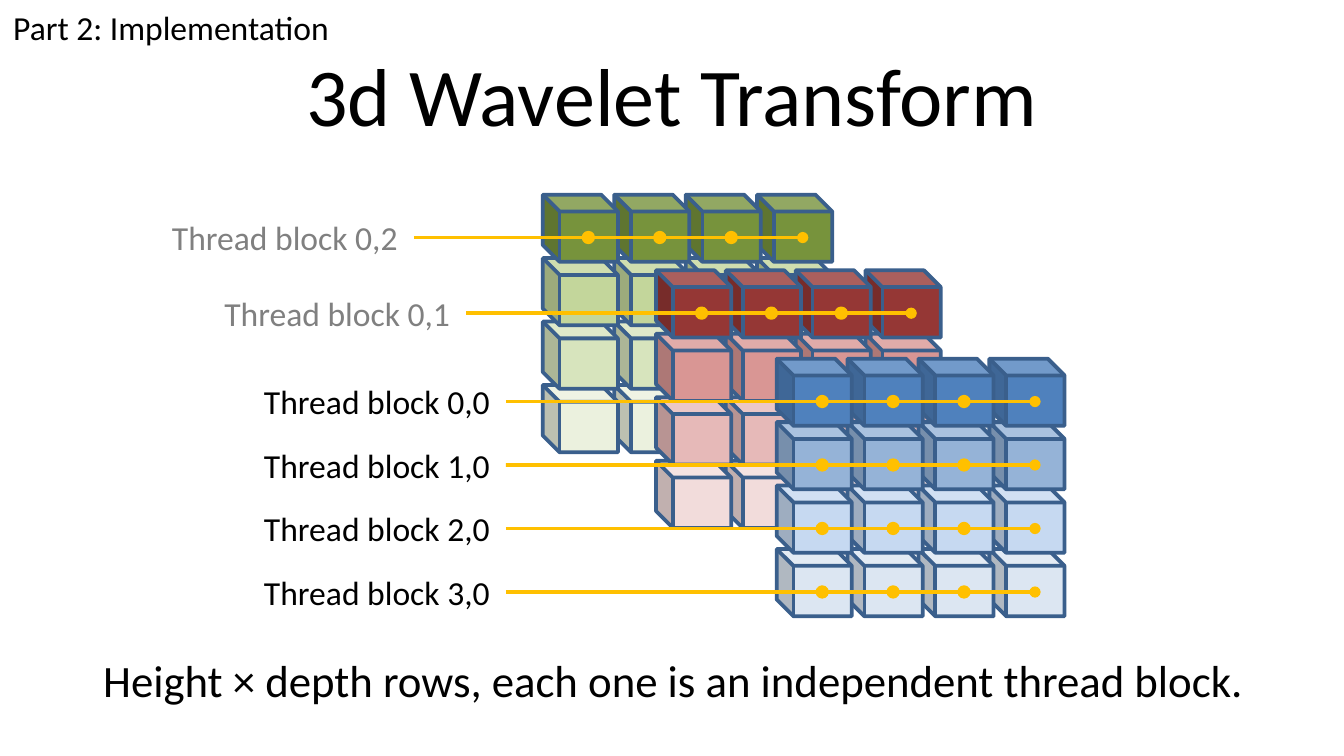
from dataclasses import dataclass

from lxml.etree import SubElement
from pptx import Presentation
from pptx.dml.color import RGBColor
from pptx.enum.shapes import MSO_CONNECTOR as Connector
from pptx.enum.shapes import MSO_SHAPE as Preset
from pptx.enum.text import MSO_ANCHOR as Anchor
from pptx.enum.text import MSO_AUTO_SIZE as AutoSize
from pptx.enum.text import PP_ALIGN as Align
from pptx.oxml.ns import qn
from pptx.util import Cm, Pt

COLUMNS = 4
ROW_PITCH = 1.2
CUBE_WIDTH, CUBE_HEIGHT = 1.42, 1.27
FACE_X, FACE_Y = 0.86, 0.81
LABEL_WIDTH, LABEL_HEIGHT = 4.82, 1.02
DOT_SIZE = 0.18
OUTLINE, GOLD, BLACK, GRAY = "3A5F8C", "FFC000", "000000", "808080"


@dataclass(frozen=True)
class Layer:
    left: float
    top: float
    pitch: float
    row_colors: tuple[str, ...]
    label_left: float
    label_color: str
    labels: tuple[str, ...]


LAYERS = (
    Layer(10.26, 3.68, 1.35, ("77933C", "C3D69B", "D7E4BD", "EBF1DE"),
          3.0, GRAY, ("Thread block 0,2",)),
    Layer(12.4, 5.11, 1.32, ("953735", "D99694", "E6B9B8", "F2DCDB"),
          3.99, GRAY, ("Thread block 0,1",)),
    Layer(14.68, 6.78, 1.34, ("4F81BD", "95B3D7", "C6D9F1", "DCE6F2"),
          4.74, BLACK, tuple(f"Thread block {row},0" for row in range(4))),
)


def rgb(color: str) -> RGBColor:
    return RGBColor.from_string(color)


def apply_format(target, values: dict) -> None:
    for name, value in values.items():
        setattr(target, name, value)


def format_text(shape, text: str, size: int, color: str, align=Align.LEFT) -> None:
    paragraph = shape.text_frame.paragraphs[0]
    paragraph.alignment = align
    run = paragraph.add_run()
    run.text = text
    apply_format(run.font, {"name": "Calibri", "size": Pt(size)})
    run.font.color.rgb = rgb(color)


def add_text(slide, left: float, top: float, width: float, height: float,
             text: str, size: int, color: str = BLACK):
    shape = slide.shapes.add_textbox(Cm(left), Cm(top), Cm(width), Cm(height))
    apply_format(shape.text_frame, {"word_wrap": False,
                                    "auto_size": AutoSize.SHAPE_TO_FIT_TEXT})
    format_text(shape, text, size, color)
    return shape


def add_filled(shapes, preset, left: float, top: float, width: float,
               height: float, fill: str, outline: str):
    shape = shapes.add_shape(preset, Cm(left), Cm(top), Cm(width), Cm(height))
    shape.shadow.inherit = False
    shape.fill.solid()
    shape.fill.fore_color.rgb = rgb(fill)
    shape.line.color.rgb = rgb(outline)
    shape.line.width = Pt(2)
    return shape


def add_cubes(slide, layer: Layer) -> None:
    group = slide.shapes.add_group_shape()
    for row, color in reversed(list(enumerate(layer.row_colors))):
        for column in reversed(range(COLUMNS)):
            cube = add_filled(group.shapes, Preset.CUBE,
                              layer.left + column * layer.pitch,
                              layer.top + row * ROW_PITCH,
                              CUBE_WIDTH, CUBE_HEIGHT, color, OUTLINE)
            cube._element.spPr.find(qn("a:xfrm")).set("flipH", "1")


def add_thread_line(slide, label, end_x: float, y: float) -> None:
    line = slide.shapes.add_connector(Connector.STRAIGHT, 0, Cm(y), Cm(end_x), Cm(y))
    line.begin_connect(label, 3)
    line.line.color.rgb = rgb(GOLD)
    line.line.width = Pt(2)
    SubElement(line.line._get_or_add_ln(), qn("a:tailEnd"), type="oval")
    SubElement(line._element.spPr, qn("a:effectLst"))


def add_thread_block(slide, layer: Layer, row: int, text: str) -> None:
    y = layer.top + FACE_Y + row * ROW_PITCH
    label = add_text(slide, layer.label_left, y - LABEL_HEIGHT / 2,
                     LABEL_WIDTH, LABEL_HEIGHT, text, 18, layer.label_color)
    centers = [layer.left + FACE_X + column * layer.pitch for column in range(COLUMNS)]
    add_thread_line(slide, label, centers[-1], y)
    for center in centers[:-1]:
        add_filled(slide.shapes, Preset.FLOWCHART_CONNECTOR, center - DOT_SIZE / 2,
                   y - DOT_SIZE / 2, DOT_SIZE, DOT_SIZE, GOLD, GOLD)


def main() -> None:
    presentation = Presentation()
    apply_format(presentation, {"slide_width": Cm(25.4), "slide_height": Cm(14.29)})
    slide = presentation.slides.add_slide(presentation.slide_layouts[5])

    title = slide.shapes.title
    apply_format(title, {"left": Cm(1.27), "top": Cm(0.58),
                         "width": Cm(22.86), "height": Cm(2.39)})
    title.text_frame.vertical_anchor = Anchor.MIDDLE
    format_text(title, "3d Wavelet Transform", 44, BLACK, Align.CENTER)

    for layer in LAYERS:
        add_cubes(slide, layer)
    for layer in LAYERS:
        for row, text in enumerate(layer.labels):
            add_thread_block(slide, layer, row, text)

    add_text(slide, 1.7, 12.22, 22.25, 1.28,
             "Height × depth rows, each one is an independent thread block.", 24)
    add_text(slide, 0, 0, 6.55, 1.02, "Part 2: Implementation", 18)
    presentation.save("out.pptx")


if __name__ == "__main__":
    main()
